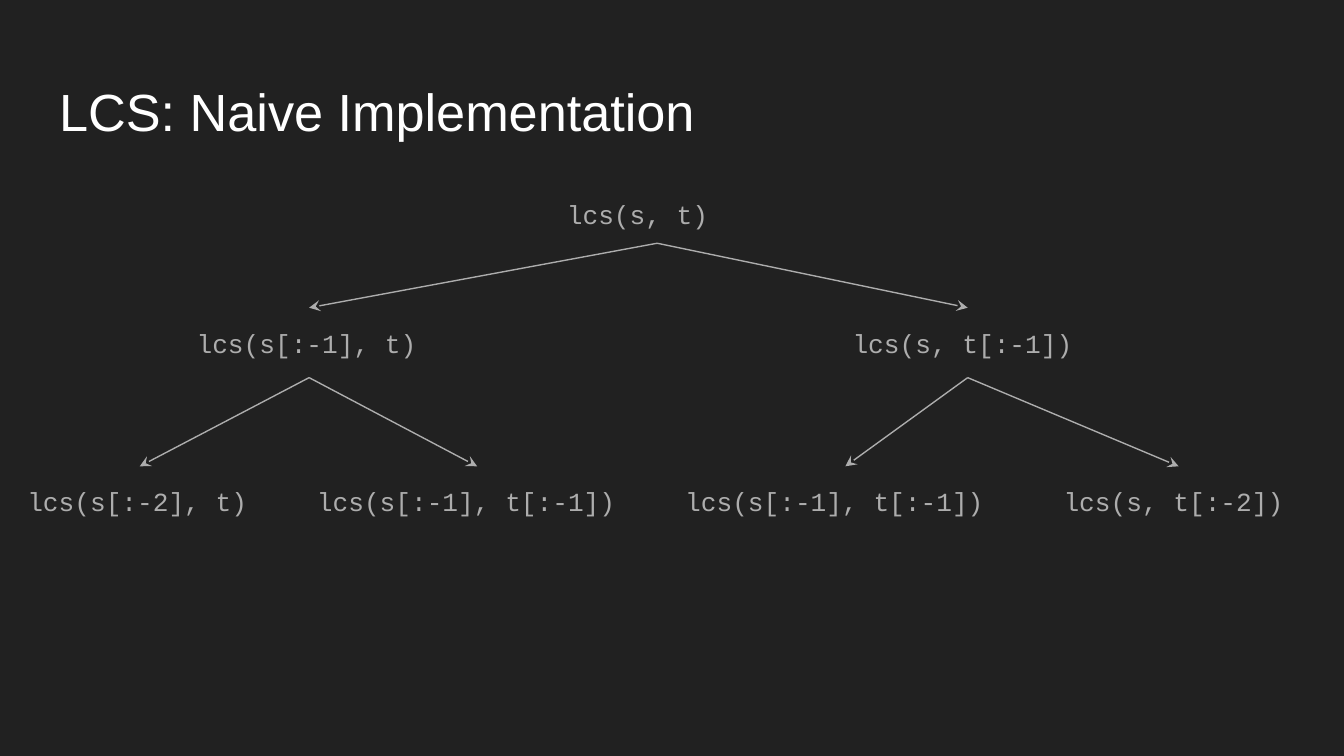
import pptx
import pptx.util
import pptx.dml.color
import pptx.enum.shapes
import pptx.enum.text
import pptx.oxml.ns
import lxml.etree

Inches = pptx.util.Inches
ANCHOR = pptx.enum.text.MSO_ANCHOR
COLORS = {"background": "212121", "title": "FFFFFF", "call": "ADADAD"}
RGB = {part: pptx.dml.color.RGBColor.from_string(value) for part, value in COLORS.items()}

# Widescreen slide, 16:9
deck = pptx.Presentation()
deck.slide_width, deck.slide_height = Inches(10), Inches(10 * 9 / 16)
slide = deck.slides.add_slide(deck.slide_layouts[5])
slide.background.fill.solid()
slide.background.fill.fore_color.rgb = RGB["background"]


def write(box, text, font, size, color, anchor):
    frame = box.text_frame
    frame.text = text
    frame_format = {"word_wrap": True, "vertical_anchor": anchor,
                    "auto_size": pptx.enum.text.MSO_AUTO_SIZE.NONE}
    for side in ("left", "top", "right", "bottom"):
        frame_format["margin_" + side] = Inches(0.1)
    for name, value in frame_format.items():
        setattr(frame, name, value)
    paragraph = frame.paragraphs[0]
    paragraph.alignment = pptx.enum.text.PP_ALIGN.LEFT
    run_font = paragraph.runs[0].font
    for name, value in {"name": font, "size": pptx.util.Pt(size)}.items():
        setattr(run_font, name, value)
    run_font.color.rgb = color


# Title
title = slide.shapes.title
for name, value in {"left": 0.34, "top": 0.49, "width": 9.32, "height": 0.63}.items():
    setattr(title, name, Inches(value))
write(title, "LCS: Naive Implementation", "Arial", 28, RGB["title"], ANCHOR.TOP)

# Levels of the call tree: top, height, text anchor
levels = [(1.38, 0.43, ANCHOR.TOP), (2.29, 0.52, ANCHOR.MIDDLE), (3.47, 0.52, ANCHOR.MIDDLE)]

# Recursive calls: text, level, centre, width, index of the caller
calls = [
    ("lcs(s, t)", 0, 4.89, 1.54, None),
    ("lcs(s[:-1], t)", 1, 2.3, 1.87, 0),
    ("lcs(s, t[:-1])", 1, 7.2, 1.91, 0),
    ("lcs(s[:-2], t)", 2, 1.04, 1.87, 1),
    ("lcs(s[:-1], t[:-1])", 2, 3.55, 2.58, 1),
    ("lcs(s[:-1], t[:-1])", 2, 6.29, 2.58, 2),
    ("lcs(s, t[:-2])", 2, 8.77, 1.91, 2),
]
for text, level, center, width, caller in calls:
    top, height, anchor = levels[level]
    call = slide.shapes.add_textbox(
        Inches(center - width / 2), Inches(top), Inches(width), Inches(height))
    write(call, text, "Courier New", 14, RGB["call"], anchor)
    if caller is None:
        continue

    # Arrow from the caller's bottom centre to this call's top centre
    caller_top, caller_height, _ = levels[level - 1]
    arrow = slide.shapes.add_connector(
        pptx.enum.shapes.MSO_CONNECTOR.STRAIGHT,
        Inches(calls[caller][2]), Inches(caller_top + caller_height),
        Inches(center), Inches(top))
    arrow.line.color.rgb = RGB["call"]
    arrow.line.width = pptx.util.Pt(0.75)
    lxml.etree.SubElement(arrow.line._get_or_add_ln(),
                          pptx.oxml.ns.qn("a:tailEnd"), type="stealth")
    lxml.etree.SubElement(arrow._element.spPr, pptx.oxml.ns.qn("a:effectLst"))

deck.save("out.pptx")
